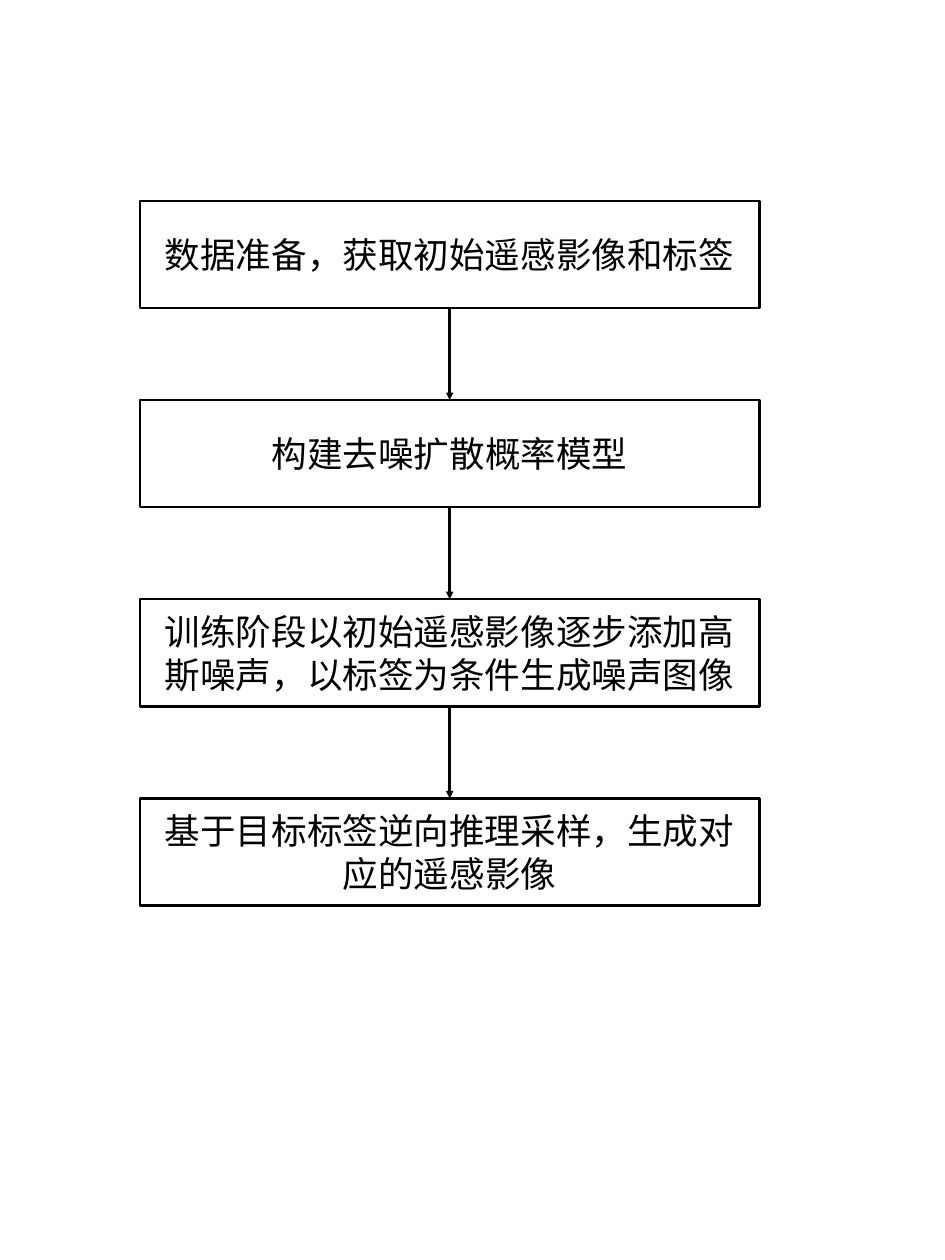
from lxml import etree
from pptx import Presentation
from pptx.dml.color import RGBColor
from pptx.enum.shapes import MSO_CONNECTOR, MSO_SHAPE
from pptx.enum.text import MSO_ANCHOR, PP_ALIGN
from pptx.oxml.ns import qn
from pptx.util import Inches, Pt

RECTANGLE = MSO_SHAPE.RECTANGLE
STRAIGHT = MSO_CONNECTOR.STRAIGHT
MIDDLE = MSO_ANCHOR.MIDDLE
CENTER = PP_ALIGN.CENTER

STEPS = [
    "数据准备，获取初始遥感影像和标签",
    "构建去噪扩散概率模型",
    "训练阶段以初始遥感影像逐步添加高斯噪声，以标签为条件生成噪声图像",
    "基于目标标签逆向推理采样，生成对应的遥感影像",
]
COLORS = {"ink": "000000", "paper": "FFFFFF"}
FONT = "Noto Sans CJK SC"
LINE_WIDTH = Pt(2.25)

LEFT, FIRST_TOP = Inches(1.75), Inches(2.51)
BOX_WIDTH, BOX_HEIGHT = Inches(7.74), Inches(1.34)
GAP = Inches(1.15)
CENTER_X = LEFT + BOX_WIDTH // 2


def color(name):
    return RGBColor.from_string(COLORS[name])


def style_line(line):
    line.color.rgb = color("ink")
    line.width = LINE_WIDTH


def add_step(slide, label, top):
    box = slide.shapes.add_shape(RECTANGLE, LEFT, top, BOX_WIDTH, BOX_HEIGHT)
    box.shadow.inherit = False
    box.fill.solid()
    box.fill.fore_color.rgb = color("paper")
    style_line(box.line)

    frame = box.text_frame
    frame.word_wrap = True
    frame.vertical_anchor = MIDDLE
    paragraph = frame.paragraphs[0]
    paragraph.text = label
    paragraph.alignment = CENTER
    paragraph.line_spacing = Pt(38.5)
    font = paragraph.font
    font.size = Pt(32)
    font.color.rgb = color("ink")
    font.name = FONT
    # Chinese characters take the East Asian typeface
    properties = paragraph._p.pPr.find(qn("a:defRPr"))
    etree.SubElement(properties, qn("a:ea"), typeface=FONT)


def add_arrow(slide, top, bottom):
    arrow = slide.shapes.add_connector(STRAIGHT, CENTER_X, top, CENTER_X, bottom)
    style_line(arrow.line)
    etree.SubElement(arrow.line._get_or_add_ln(), qn("a:tailEnd"), type="triangle")
    etree.SubElement(arrow._element.spPr, qn("a:effectLst"))


def main():
    presentation = Presentation()
    presentation.slide_width = Inches(11.81)
    presentation.slide_height = Inches(15.75)
    blank_layout = presentation.slide_layouts[6]
    slide = presentation.slides.add_slide(blank_layout)

    for index, label in enumerate(STEPS):
        top = FIRST_TOP + index * (BOX_HEIGHT + GAP)
        add_step(slide, label, top)
        if index:
            add_arrow(slide, top - GAP, top)

    presentation.save("out.pptx")


if __name__ == "__main__":
    main()
